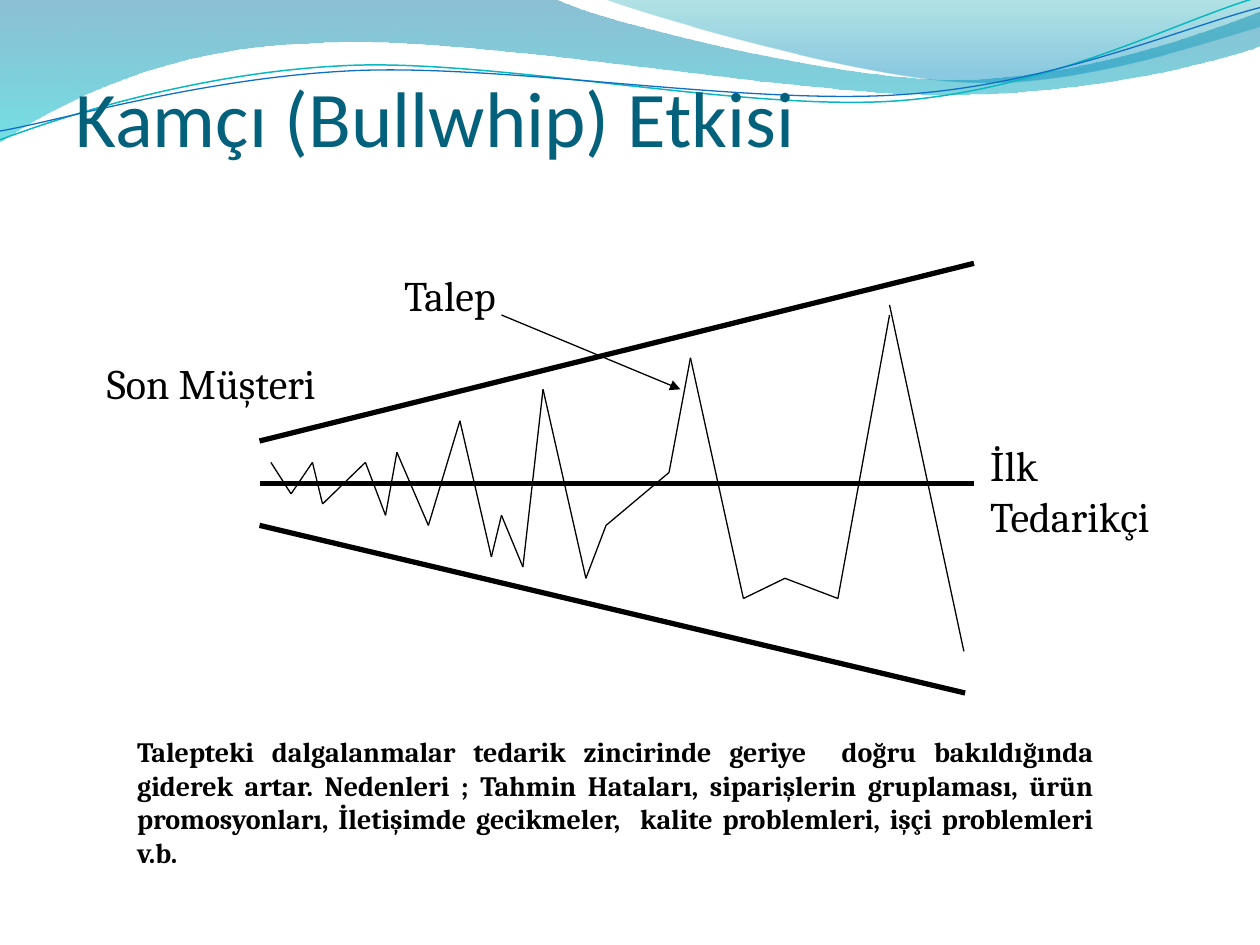
from math import cos, radians, sin

from lxml.etree import SubElement
from pptx import Presentation
from pptx.dml.color import RGBColor
from pptx.enum.lang import MSO_LANGUAGE_ID as Language
from pptx.enum.shapes import MSO_CONNECTOR as Connector
from pptx.enum.text import MSO_ANCHOR as Anchor, MSO_AUTO_SIZE as AutoSize, PP_ALIGN as Align
from pptx.oxml.ns import qn
from pptx.util import Inches, Pt

COLORS = {"title": "04617B", "ink": "000000", "teal": "0AB8BF", "blue": "0F6FC6"}
TITLE = "Kamçı (Bullwhip) Etkisi"
EXPLANATION = (
    "Talepteki dalgalanmalar tedarik zincirinde geriye  doğru bakıldığında giderek artar. "
    "Nedenleri ; Tahmin Hataları, siparişlerin gruplaması, ürün promosyonları, "
    "İletişimde gecikmeler,  kalite problemleri, işçi problemleri v.b."
)
LABEL = {"size": Pt(24), "name": "Cambria", "language_id": Language.TURKISH}
BODY = {**LABEL, "size": Pt(16), "bold": True}
HEADING = {**LABEL, "size": Pt(45), "name": "Calibri"}

# Lines, (left, top, width, height), font, alignment, wrap
CHAIN_ENDS = [
    (["Son Müşteri"], (0.75, 2.79, 1.98, 0.5), LABEL, None, False),
    (["İlk", "Tedarikçi"], (7.76, 3.44, 1.56, 0.9), LABEL, None, False),
]
DEMAND_LABEL = (["Talep"], (3.11, 2.09, 1.04, 0.5), LABEL, None, False)
NOTE = ([EXPLANATION], (0.99, 5.78, 7.79, 0.91), BODY, Align.JUSTIFY, True)

# Outlines: two numbers make a straight edge, six a Bézier curve
BANDS = [
    ((-0.01, -0.01, 10.02, 1.14),
     [(0, 0), (4.4, -0.01), (4.76, 0.17, 6.64, 0.63, 7.58, 0.63),
      (8.53, 0.63, 9.58, 0.26, 10, 0.09), (10.01, 0.36),
      (9.83, 0.44, 8.7, 0.76, 7.46, 0.75), (6.22, 0.75, 3.82, 0.28, 2.57, 0.34),
      (1.29, 0.36, 0.46, 0.83, -0.01, 1.13), (0, 0)],
     [(0, "0074A1", 45), (1, "00C6CF", 55)]),
    ((4.79, -0.01, 5.21, 0.7),
     [(4.79, -0.01), (5.09, 0.11, 6.82, 0.62, 7.69, 0.65),
      (8.56, 0.69, 9.61, 0.32, 10, 0.21), (10, 0), (4.79, -0.01)],
     [(0, "00A1A9", 30), (0.8, "008BBF", 45)]),
]
WAVE_TILT = -2.7
WAVES = [
    ((-0.02, 0.22, 10.02, 0.71),
     [(0, 1.11), (0.48, 0.93, 1.58, 0.57, 2.77, 0.52),
      (3.95, 0.47, 5.93, 0.89, 7.13, 0.8), (8.33, 0.71, 9.38, 0.15, 9.98, -0.02)],
     "teal", 0.85),
    ((-0.02, 0.3, 10.03, 0.58),
     [(0, 1.04), (0.47, 0.96, 1.64, 0.61, 2.83, 0.56),
      (4.03, 0.51, 5.97, 0.84, 7.17, 0.75), (8.36, 0.67, 9.41, 0.21, 10, 0.06)],
     "blue", 0.75),
]

FUNNEL = [((7.73, 3.84), (2.06, 3.84)), ((7.73, 2.09), (2.06, 3.5)),
          ((7.66, 5.5), (2.06, 4.17))]
DEMAND = [
    (7.06, 2.5), (6.65, 4.75), (6.23, 4.59), (5.9, 4.75), (5.48, 2.84), (5.31, 3.75),
    (4.81, 4.17), (4.65, 4.59), (4.31, 3.09), (4.15, 4.5), (3.98, 4.09), (3.9, 4.42),
    (3.65, 3.34), (3.4, 4.17), (3.15, 3.59), (3.06, 4.09), (2.9, 3.67), (2.56, 4),
    (2.48, 3.67), (2.31, 3.92), (2.15, 3.67),
]
LAST_DROP = ((7.65, 5.17), (7.06, 2.42))
POINTER = ((3.98, 2.5), (5.4, 3.09))


def color(name):
    return RGBColor.from_string(COLORS[name])


def add_outline(slide, place, outline, closed=False, tilt=0):
    """Add a curved freeform; the outline is given as seen after tilting."""
    left, top, width, height = place
    builder = slide.shapes.build_freeform(Inches(left), Inches(top))
    builder.add_line_segments([(Inches(left + width), Inches(top + height))], close=closed)
    shape = builder.convert_to_shape()
    shape.shadow.inherit = False
    shape.rotation = tilt % 360

    route = next(shape._element.iter(qn("a:path")))
    for element in list(route):
        route.remove(element)
    turn = radians(-tilt)
    for index, step in enumerate(outline):
        tag = "a:moveTo" if index == 0 else "a:lnTo" if len(step) == 2 else "a:cubicBezTo"
        command = SubElement(route, qn(tag))
        for x, y in zip(step[::2], step[1::2]):
            across, down = x - left - width / 2, y - top - height / 2
            local_x = across * cos(turn) - down * sin(turn) + width / 2
            local_y = across * sin(turn) + down * cos(turn) + height / 2
            SubElement(command, qn("a:pt"), x=str(Inches(local_x)), y=str(Inches(local_y)))
    if closed:
        SubElement(route, qn("a:close"))
    return shape


def add_band(slide, place, outline, stops):
    band = add_outline(slide, place, outline, closed=True)
    band.line.fill.background()
    band.fill.gradient()
    band.fill.gradient_angle = 270
    for stop, (position, hex_color, _) in zip(band.fill.gradient_stops, stops):
        stop.position = position
        stop.color.rgb = RGBColor.from_string(hex_color)
    rgb_elements = list(band._element.spPr.iter(qn("a:srgbClr")))
    for element, (_, _, opacity) in zip(rgb_elements, stops):
        SubElement(element, qn("a:alpha"), val=str(opacity * 1000))


def add_wave(slide, place, outline, color_name, width):
    wave = add_outline(slide, place, outline, tilt=WAVE_TILT)
    wave.fill.background()
    wave.line.color.rgb = color(color_name)
    wave.line.width = Pt(width)


def add_line(slide, start, end, width=0.75, arrow=False):
    ends = [Inches(value) for value in (*start, *end)]
    line = slide.shapes.add_connector(Connector.STRAIGHT, *ends)
    line.line.color.rgb = color("ink")
    line.line.width = Pt(width)
    if arrow:
        SubElement(line.line._get_or_add_ln(), qn("a:tailEnd"), type="triangle")
    SubElement(line._element.spPr, qn("a:effectLst"))


def write(frame, lines, font, color_name, alignment):
    for index, text in enumerate(lines):
        para = frame.paragraphs[0] if index == 0 else frame.add_paragraph()
        para.alignment = alignment
        span = para.add_run()
        span.text = text
        span.font.color.rgb = color(color_name)
        for key, value in font.items():
            setattr(span.font, key, value)


def add_text(slide, lines, place, font, alignment, wrap):
    box = slide.shapes.add_textbox(*map(Inches, place))
    box.text_frame.word_wrap = wrap
    box.text_frame.auto_size = AutoSize.SHAPE_TO_FIT_TEXT
    write(box.text_frame, lines, font, "ink", alignment)


def add_title(slide):
    title = slide.shapes.title
    title.left, title.top, title.width, title.height = map(Inches, (0.5, 0.49, 9, 0.86))
    title.text_frame.vertical_anchor = Anchor.BOTTOM
    write(title.text_frame, [TITLE], HEADING, "title", Align.LEFT)
    # Bring the title in front of the waves
    slide.shapes._spTree.append(title._element)


def main():
    deck = Presentation()
    deck.slide_width, deck.slide_height = Inches(10), Inches(7.5)
    slide = deck.slides.add_slide(deck.slide_layouts[5])

    for band in BANDS:
        add_band(slide, *band)
    for wave in WAVES:
        add_wave(slide, *wave)
    add_title(slide)

    for start, end in FUNNEL:
        add_line(slide, start, end, width=3)
    for label in CHAIN_ENDS:
        add_text(slide, *label)
    for start, end in [LAST_DROP, *zip(DEMAND, DEMAND[1:])]:
        add_line(slide, start, end)
    add_text(slide, *DEMAND_LABEL)
    add_line(slide, *POINTER, arrow=True)
    add_text(slide, *NOTE)

    deck.save("out.pptx")


if __name__ == "__main__":
    main()
